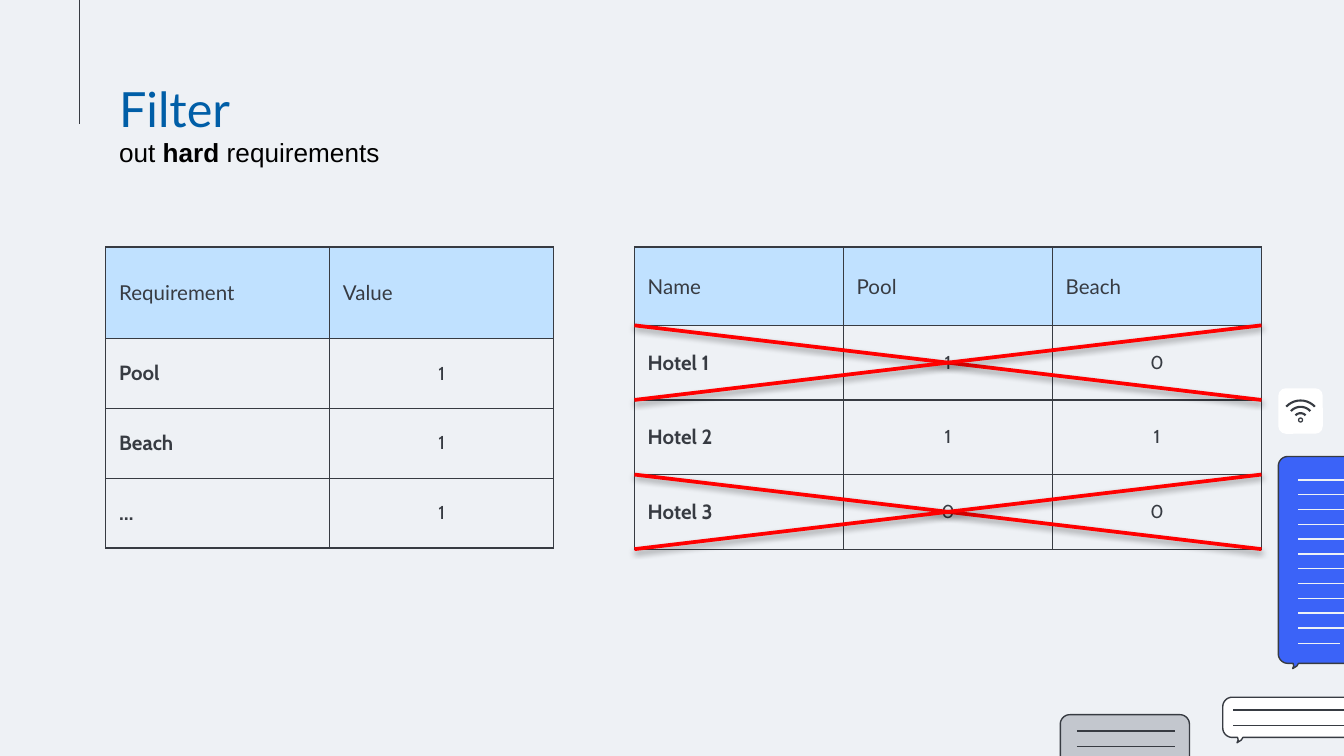
from dataclasses import dataclass
from math import cos, radians, sin

from lxml.etree import SubElement
from pptx import Presentation
from pptx.dml.color import RGBColor
from pptx.enum.shapes import MSO_CONNECTOR, MSO_SHAPE
from pptx.enum.text import MSO_ANCHOR, MSO_AUTO_SIZE, PP_ALIGN
from pptx.oxml.ns import qn
from pptx.util import Cm, Pt


@dataclass(frozen=True)
class Theme:
    paper: str = "EEF1F5"
    ink: str = "373B42"
    title: str = "005EA7"
    header: str = "C0E1FF"
    strike: str = "FF0000"
    black: str = "000000"
    white: str = "FFFFFF"
    grey: str = "C3C7CE"
    blue: str = "3B63F8"
    title_font: str = "Lato"
    label_font: str = "Cabin"
    text_font: str = "Arial"
    title_pt: int = 26
    subtitle_pt: int = 14
    label_pt: int = 11
    value_pt: int = 10
    hairline_pt: float = 0.75
    strike_pt: int = 2


T = Theme()

# All lengths are in centimetres.
TITLE = "Filter"
SUBTITLE = [("out ", False), ("hard", True), (" requirements", False)]
TABLE_TOP = 4.67
REQUIREMENTS = {
    "left": 2.0, "col": 4.23, "header": 1.73, "row": 1.32,
    "cells": [("Requirement", "Value"), ("Pool", "1"), ("Beach", "1"), ("…", "1")],
}
HOTELS = {
    "left": 11.99, "col": 3.95, "header": 1.48, "row": 1.41,
    "cells": [("Name", "Pool", "Beach"), ("Hotel 1", "1", "0"),
              ("Hotel 2", "1", "1"), ("Hotel 3", "0", "0")],
}
REJECTED_ROWS = (1, 3)

# box: left, top, width, height; rules: left, first y, right, step, count
BUBBLES = [
    {"box": (20.04, 13.51, 2.44, 1.22), "tail": 2.06, "fill": T.grey,
     "rules": (20.35, 13.82, 22.2, 0.29, 2), "ink": T.ink},
    {"box": (24.16, 8.63, 2.43, 3.91), "tail": 0.27, "fill": T.blue,
     "rules": (24.54, 9.07, 26.24, 0.28, 11), "ink": T.paper},
    {"box": (23.11, 13.18, 4.29, 0.76), "tail": 0.27, "fill": T.white,
     "rules": (23.31, 13.42, 27.13, 0.29, 2), "ink": T.ink},
]
LAST_BLUE_RULE = (24.54, 12.16, 25.32, 12.16)
WIFI_CENTRE = (24.58, 7.94)
WIFI_RADII = (0.39, 0.27, 0.15)


def rgb(value):
    return RGBColor.from_string(value)


def style(r, font, size, color, bold=False):
    r.font.name, r.font.size, r.font.bold = font, Pt(size), bold
    r.font.color.rgb = rgb(color)


def paint(s, fill, line=None):
    s.shadow.inherit = False
    s.fill.solid()
    s.fill.fore_color.rgb = rgb(fill)
    if line:
        s.line.color.rgb = rgb(line)
        s.line.width = Pt(T.hairline_pt)
    else:
        s.line.fill.background()


def add_line(shapes, ends, color, width=T.hairline_pt, shadow=False):
    s = shapes.add_connector(MSO_CONNECTOR.STRAIGHT, *map(Cm, ends))
    s.line.color.rgb = rgb(color)
    s.line.width = Pt(width)
    effects = SubElement(s._element.spPr, qn("a:effectLst"))
    if shadow:
        outer = SubElement(effects, qn("a:outerShdw"), blurRad=str(Pt(3.1)),
                           dist=str(Pt(1.6)), dir="5400000", rotWithShape="0")
        color_el = SubElement(outer, qn("a:srgbClr"), val=T.black)
        SubElement(color_el, qn("a:alpha"), val="38000")


def add_outline(shapes, points, fill, line=None):
    first, *rest = [(Cm(x), Cm(y)) for x, y in points]
    builder = shapes.build_freeform(*first)
    builder.add_line_segments(rest, close=True)
    paint(builder.convert_to_shape(), fill, line)


def arc(cx, cy, radius, start, end, steps=10):
    angles = [radians(start + (end - start) * i / steps) for i in range(steps + 1)]
    return [(cx + radius * cos(a), cy + radius * sin(a)) for a in angles]


def add_bubble(shapes, box, tail, fill, rules, ink):
    """Rounded speech bubble with a small tail and ruled lines."""
    x, y, w, h = box
    r = 0.18
    right, bottom = x + w, y + h
    tip = [(x + tail + dx, bottom + dy)
           for dx, dy in ((0.11, 0), (0.08, 0.05), (0, 0.1), (0.02, 0.05), (0.01, 0))]
    points = (arc(x + r, y + r, r, 180, 270) + arc(right - r, y + r, r, 270, 360)
              + arc(right - r, bottom - r, r, 0, 90) + tip
              + arc(x + r, bottom - r, r, 90, 180))
    add_outline(shapes, points, fill, T.ink)
    left, top, end, step, count = rules
    for i in range(count):
        add_line(shapes, (left, top + i * step, end, top + i * step), ink)


def add_wifi(shapes):
    cx, cy = WIFI_CENTRE
    tile = shapes.add_shape(MSO_SHAPE.ROUNDED_RECTANGLE,
                            Cm(24.16), Cm(7.34), Cm(0.84), Cm(0.86))
    paint(tile, T.white)
    for radius in WIFI_RADII:
        add_outline(shapes, arc(cx, cy, radius, 223, 317)
                    + arc(cx, cy, radius - 0.04, 317, 223), T.ink)
    dot = shapes.add_shape(MSO_SHAPE.DONUT, Cm(cx - 0.05), Cm(cy - 0.05),
                           Cm(0.1), Cm(0.1))
    paint(dot, T.ink)


def add_borders(cell):
    tc_pr = cell._tc.get_or_add_tcPr()
    for side in ("lnL", "lnR", "lnT", "lnB"):
        ln = SubElement(tc_pr, qn(f"a:{side}"), w=str(Pt(T.hairline_pt)))
        SubElement(SubElement(ln, qn("a:solidFill")), qn("a:srgbClr"), val=T.ink)


def fill_cell(cell, text, is_header, is_label):
    cell.text = text
    cell.vertical_anchor = MSO_ANCHOR.MIDDLE
    cell.margin_left = cell.margin_right = Cm(0.25)
    cell.margin_top = cell.margin_bottom = Cm(0.25)
    add_borders(cell)
    p = cell.text_frame.paragraphs[0]
    if is_header:
        cell.fill.solid()
        cell.fill.fore_color.rgb = rgb(T.header)
        style(p.runs[0], T.title_font, T.label_pt, T.ink)
        return
    cell.fill.background()
    p.alignment = PP_ALIGN.LEFT if is_label else PP_ALIGN.CENTER
    style(p.runs[0], T.label_font, T.label_pt if is_label else T.value_pt, T.ink, is_label)


def add_grid(shapes, left, col, header, row, cells):
    rows, cols = len(cells), len(cells[0])
    table = shapes.add_table(rows, cols, Cm(left), Cm(TABLE_TOP), Cm(col * cols),
                             Cm(header + row * (rows - 1))).table
    table.first_row = table.horz_banding = False
    for column in table.columns:
        column.width = Cm(col)
    for i, texts in enumerate(cells):
        table.rows[i].height = Cm(row if i else header)
        for j, text in enumerate(texts):
            fill_cell(table.cell(i, j), text, i == 0, j == 0)


def cross_out(shapes, grid, row):
    left = grid["left"]
    right = left + grid["col"] * len(grid["cells"][0])
    top = TABLE_TOP + grid["header"] + grid["row"] * (row - 1)
    bottom = top + grid["row"]
    for start, end in ((top, bottom), (bottom, top)):
        add_line(shapes, (left, start, right, end), T.strike, T.strike_pt, shadow=True)


def add_heading(shapes):
    s = shapes.title
    s.left, s.top, s.width, s.height = Cm(2), Cm(1.25), Cm(21.4), Cm(1.6)
    tf = s.text_frame
    tf.text = TITLE
    tf.auto_size = MSO_AUTO_SIZE.NONE
    tf.vertical_anchor = MSO_ANCHOR.MIDDLE
    tf.margin_left = tf.margin_right = tf.margin_top = tf.margin_bottom = Cm(0.25)
    tf.paragraphs[0].alignment = PP_ALIGN.LEFT
    style(tf.paragraphs[0].runs[0], T.title_font, T.title_pt, T.title)

    tf = shapes.add_textbox(Cm(2), Cm(2.46), Cm(6.38), Cm(0.86)).text_frame
    tf.word_wrap = True
    for text, bold in SUBTITLE:
        r = tf.paragraphs[0].add_run()
        r.text = text
        style(r, T.text_font, T.subtitle_pt, T.black, bold)


def main():
    prs = Presentation()
    prs.slide_width, prs.slide_height = Cm(25.4), Cm(14.29)
    slide = prs.slides.add_slide(prs.slide_layouts[5])
    slide.background.fill.solid()
    slide.background.fill.fore_color.rgb = rgb(T.paper)
    shapes = slide.shapes

    add_line(shapes, (1.5, 0, 1.5, 2.34), T.ink)
    for bubble in BUBBLES:
        add_bubble(shapes, **bubble)
    add_line(shapes, LAST_BLUE_RULE, T.paper)
    add_wifi(shapes)
    add_heading(shapes)
    for grid in (REQUIREMENTS, HOTELS):
        add_grid(shapes, **grid)
    for row in REJECTED_ROWS:
        cross_out(shapes, HOTELS, row)
    prs.save("out.pptx")


if __name__ == "__main__":
    main()
